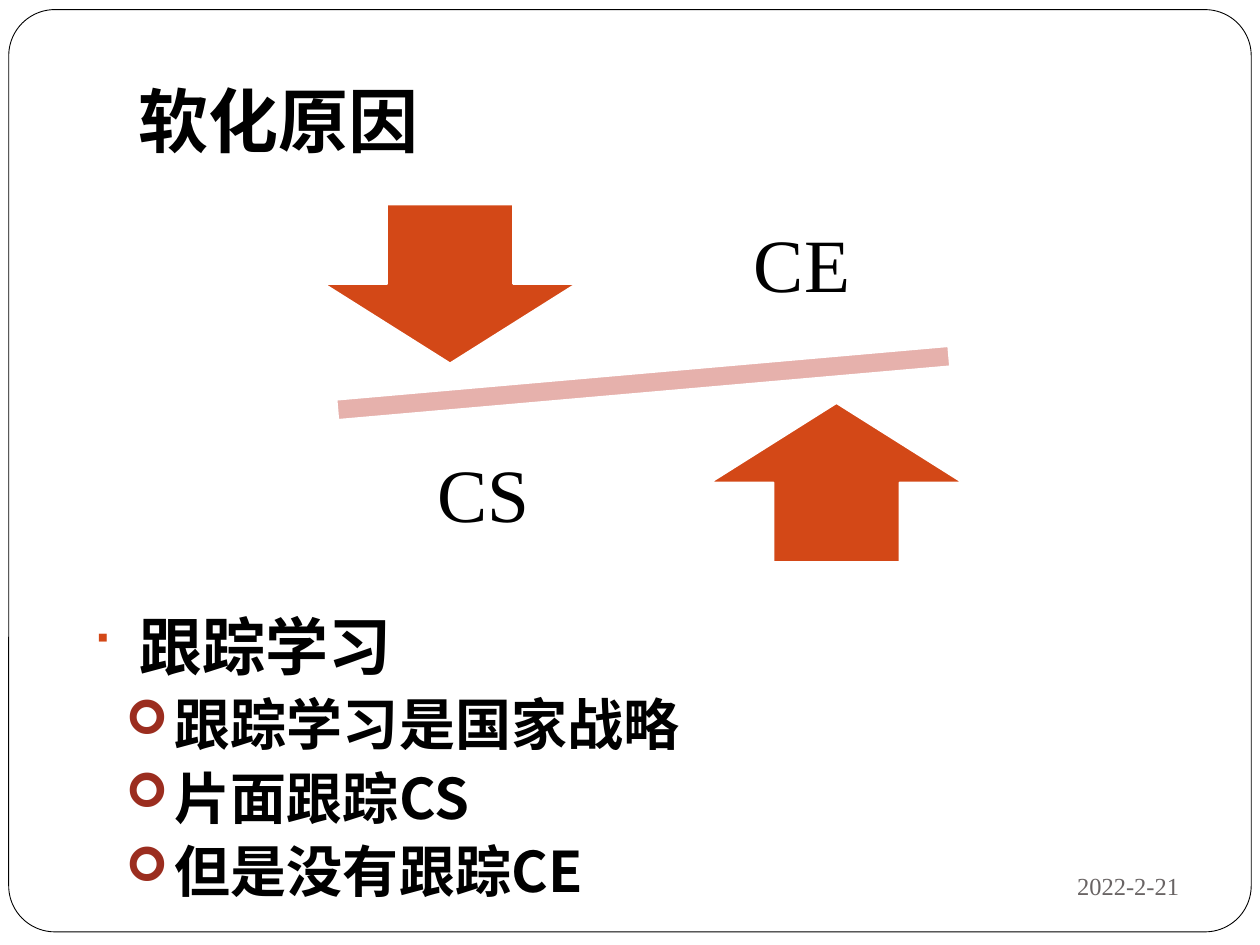
from lxml.etree import SubElement
from pptx import Presentation
from pptx.dml.color import RGBColor
from pptx.enum.shapes import MSO_SHAPE as SHAPE
from pptx.enum.text import MSO_ANCHOR as ANCHOR, MSO_AUTO_SIZE as FIT, PP_ALIGN as ALIGN
from pptx.oxml.ns import qn
from pptx.util import Pt

SANS, SERIF = "Noto Sans CJK JP", "Times New Roman"
TITLE = "软化原因"
POINTS = [
    (0, "跟踪学习"),
    (1, "跟踪学习是国家战略"),
    (1, "片面跟踪CS"),
    (1, "但是没有跟踪CE"),
]
LEVELS = [
    {"size": 36, "left": 28, "before": 5.8, "mark": "■", "tint": "D34817"},
    {"size": 32, "left": 48.2, "before": 3.7, "mark": "➢", "tint": "9B2D1F"},
]
HANG = 28
ARROWS = [
    (SHAPE.DOWN_ARROW, (185.2, 116.9, 144, 90.7)),
    (SHAPE.UP_ARROW, (406, 230.4, 144, 90.7)),
]
LABELS = [("CE", (381.6, 105.8, 153.4, 95)), ("CS", (199.4, 236.9, 153.4, 95))]
DATE = ("2022-2-21", (486, 487.4, 195, 37.4))


def paint(color, tint):
    color.rgb = RGBColor.from_string(tint)


def place(shape, box):
    for name, value in zip(("left", "top", "width", "height"), box):
        setattr(shape, name, Pt(value))


def style(para, size, face, tint="000000", bold=False):
    look = {"size": Pt(size), "name": face, "bold": bold}
    for run in para.runs:
        for name, value in look.items():
            setattr(run.font, name, value)
        paint(run.font.color, tint)
        SubElement(run.font._element, qn("a:ea"), typeface=face)


def setup(frame, anchor, pads=(7.2, 3.6, 7.2, 3.6)):
    look = {"word_wrap": True, "auto_size": FIT.NONE, "vertical_anchor": anchor}
    sides = ("left", "top", "right", "bottom")
    look |= {f"margin_{side}": Pt(pad) for side, pad in zip(sides, pads)}
    for name, value in look.items():
        setattr(frame, name, value)


def draw(slide, kind, box, fill, line, width):
    shape = slide.shapes.add_shape(kind, *map(Pt, box))
    shape.shadow.inherit = False
    shape.fill.solid()
    paint(shape.fill.fore_color, fill)
    paint(shape.line.color, line)
    shape.line.width = Pt(width)
    return shape


def label(slide, text, box, size, tint, align, pads, pitch):
    frame = slide.shapes.add_textbox(*map(Pt, box)).text_frame
    setup(frame, ANCHOR.MIDDLE, pads)
    frame.text = text
    para = frame.paragraphs[0]
    para.alignment = align
    para.line_spacing = pitch
    style(para, size, SERIF, tint)


def bullet(para, level):
    props = para._p.get_or_add_pPr()
    props.set("marL", str(Pt(level["left"])))
    props.set("indent", str(-Pt(HANG)))
    color = SubElement(props, qn("a:buClr"))
    SubElement(color, qn("a:srgbClr"), val=level["tint"])
    SubElement(props, qn("a:buSzPct"), val="85000")
    SubElement(props, qn("a:buFont"), typeface="Wingdings")
    SubElement(props, qn("a:buChar"), char=level["mark"])


def main():
    """Build the slide with the tilted balance and its reasons."""
    deck = Presentation()
    deck.slide_width, deck.slide_height = Pt(720), Pt(540)
    slide = deck.slides.add_slide(deck.slide_layouts[1])
    title, body = slide.placeholders

    card = draw(slide, SHAPE.ROUNDED_RECTANGLE, (5, 5.5, 710, 527), "FFFFFF", "000000", 0.5)
    card.adjustments[0] = 0.05
    slide.shapes._spTree.insert(2, card._element)

    place(title, (72, 21.6, 612, 77.8))
    setup(title.text_frame, ANCHOR.BOTTOM, (7.2, 3.6, 7.2, 7.2))
    title.text_frame.text = TITLE
    head = title.text_frame.paragraphs[0]
    head.alignment = ALIGN.LEFT
    style(head, 40, SANS, bold=True)

    place(body, (44.6, 343.4, 642, 166.3))
    frame = body.text_frame
    setup(frame, ANCHOR.TOP)
    frame.text = "\n".join(text for _, text in POINTS)
    for spot, (para, (depth, _)) in enumerate(zip(frame.paragraphs, POINTS)):
        level = LEVELS[depth]
        para.level = depth
        para.line_spacing = 1.0
        para.space_before = Pt(level["before"] if spot else 0)
        bullet(para, level)
        style(para, level["size"], SANS, bold=True)

    bar = draw(slide, SHAPE.MATH_MINUS, (128.9, 194.4, 477.4, 49), "E6B1AC", "FFFFFF", 1)
    bar.rotation = 355
    for kind, box in ARROWS:
        draw(slide, kind, box, "D34817", "FFFFFF", 1)
    for text, box in LABELS:
        label(slide, text, box, 43, "000000", ALIGN.CENTER, (23.8,) * 4, 0.9)
    label(slide, *DATE, 14, "696464", ALIGN.RIGHT, (7.2, 3.6, 7.2, 3.6), 1.0)
    deck.save("out.pptx")


if __name__ == "__main__":
    main()
